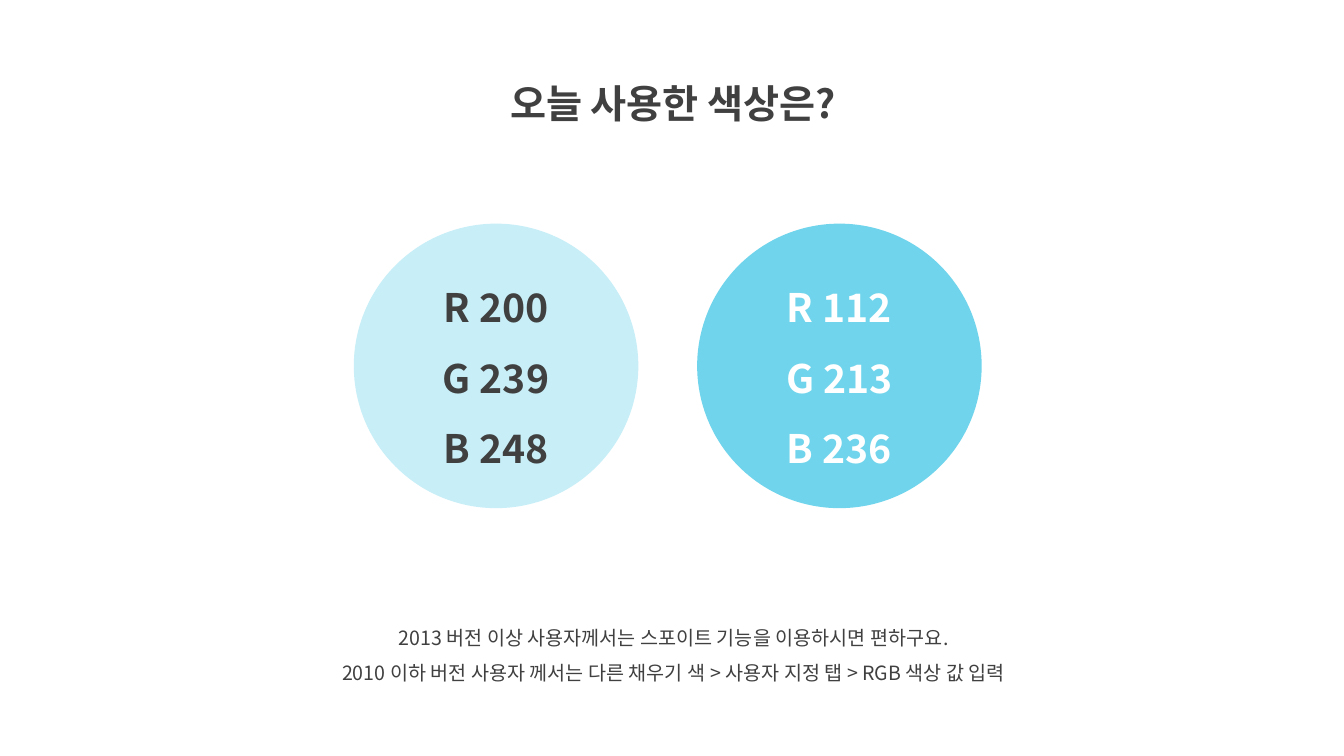
"""Build a slide that lists the two colours used today."""
from typing import NamedTuple

from pptx import Presentation
from pptx.dml.color import RGBColor
from pptx.enum.shapes import MSO_SHAPE as SHAPE
from pptx.enum.text import MSO_ANCHOR as ANCHOR, PP_ALIGN as ALIGN
from pptx.oxml.ns import qn
from pptx.slide import Slide
from pptx.text.text import TextFrame
from pptx.util import Emu, Pt

FONT = "Noto Sans CJK KR"
DARK = RGBColor(0x40, 0x40, 0x40)
WHITE = RGBColor(0xFF, 0xFF, 0xFF)
PALE_BLUE = RGBColor(200, 239, 248)
SKY_BLUE = RGBColor(112, 213, 236)

SWATCH_TOP = 213
SWATCH_SIZE = 271


class Label(NamedTuple):
    left: int
    top: int
    width: int
    height: int
    lines: list[str]
    size: int
    bold: bool


class Swatch(NamedTuple):
    left: int
    fill: RGBColor
    ink: RGBColor


LABELS = [
    Label(419, 48, 444, 69, ["오늘 사용한 색상은?"], 28, True),
    Label(258, 580, 767, 78, [
        "2013 버전 이상 사용자께서는 스포이트 기능을 이용하시면 편하구요.",
        "2010 이하 버전 사용자 께서는 다른 채우기 색 > 사용자 지정 탭 > RGB 색상 값 입력",
    ], 14, False),
]
SWATCHES = [Swatch(337, PALE_BLUE, DARK), Swatch(664, SKY_BLUE, WHITE)]


def px(n: int) -> Emu:
    return Emu(n * 9525)


def write(tf: TextFrame, lines: list[str], *, size: int = 28,
          bold: bool = True, color: RGBColor = DARK) -> None:
    tf.word_wrap = True
    for i, line in enumerate(lines):
        p = tf.add_paragraph() if i else tf.paragraphs[0]
        p.alignment = ALIGN.CENTER
        p.line_spacing = 1.5
        r = p.add_run()
        r.text = line
        r.font.name = FONT
        r.font.size = Pt(size)
        r.font.bold = bold
        r.font.color.rgb = color
        ea = r.font._element.makeelement(qn("a:ea"), {"typeface": FONT})
        r.font._element.find(qn("a:latin")).addnext(ea)


def add_label(s: Slide, label: Label) -> None:
    sp = s.shapes.add_textbox(px(label.left), px(label.top),
                              px(label.width), px(label.height))
    write(sp.text_frame, label.lines, size=label.size, bold=label.bold)


def add_swatch(s: Slide, swatch: Swatch) -> None:
    sp = s.shapes.add_shape(SHAPE.OVAL, px(swatch.left), px(SWATCH_TOP),
                            px(SWATCH_SIZE), px(SWATCH_SIZE))
    sp.shadow.inherit = False
    sp.fill.solid()
    sp.fill.fore_color.rgb = swatch.fill
    sp.line.fill.background()
    sp.text_frame.vertical_anchor = ANCHOR.MIDDLE
    lines = [f"{name} {value}" for name, value in zip("RGB", swatch.fill)]
    write(sp.text_frame, lines, color=swatch.ink)


def main() -> None:
    prs = Presentation()
    prs.slide_width, prs.slide_height = px(1280), px(720)
    s = prs.slides.add_slide(prs.slide_layouts[6])
    for label in LABELS:
        add_label(s, label)
    for swatch in SWATCHES:
        add_swatch(s, swatch)
    prs.save("out.pptx")


if __name__ == "__main__":
    main()
